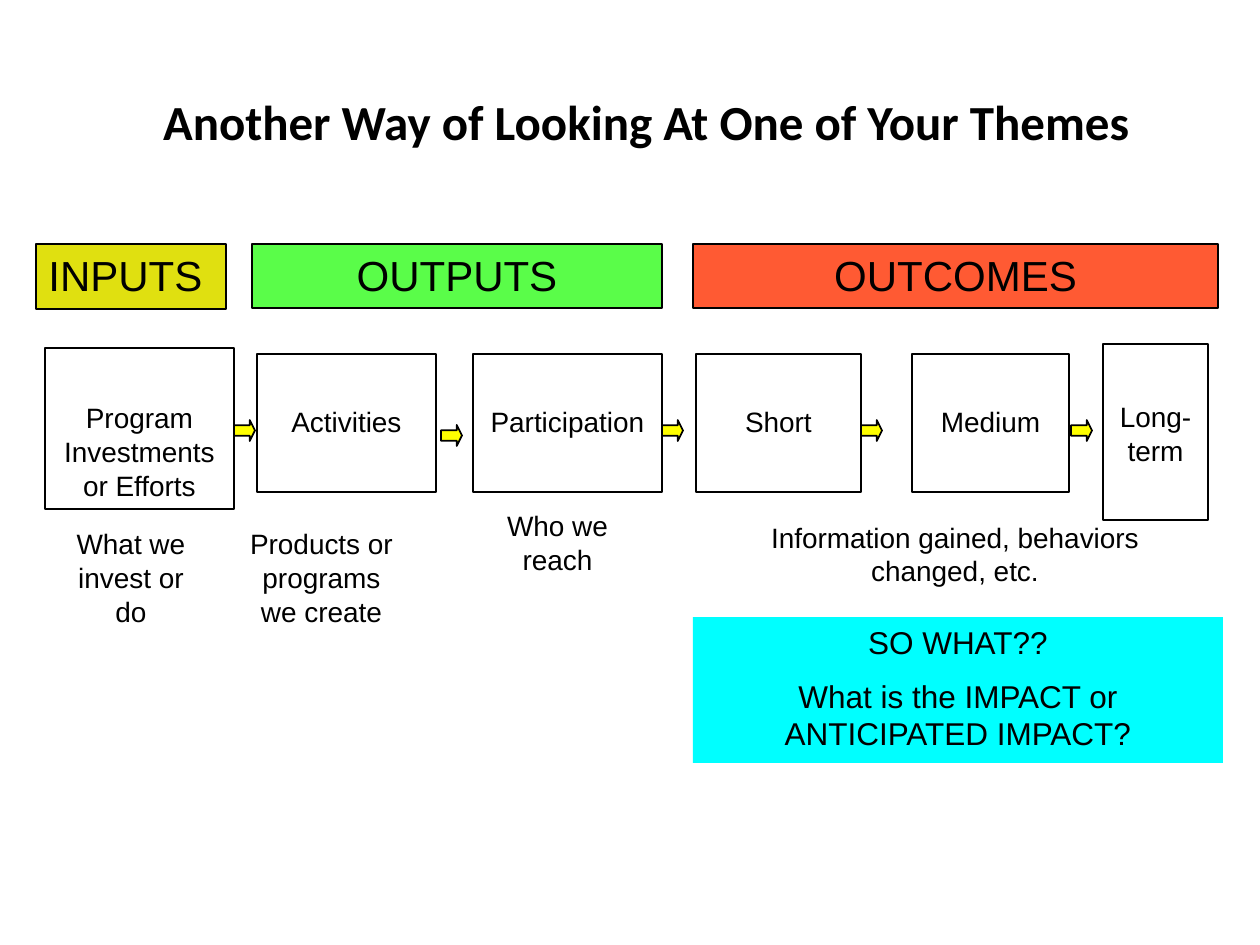
import pptx
import pptx.dml.color
import pptx.enum.shapes
import pptx.enum.text
import pptx.util

RGBColor = pptx.dml.color.RGBColor
BLACK = RGBColor(0x00, 0x00, 0x00)
OLIVE = RGBColor(0xE0, 0xE0, 0x10)
GREEN = RGBColor(0x5A, 0xFD, 0x49)
ORANGE = RGBColor(0xFF, 0x5A, 0x33)
YELLOW = RGBColor(0xFF, 0xFF, 0x00)
CYAN = RGBColor(0x00, 0xFF, 0xFF)

SHAPE = pptx.enum.shapes.MSO_SHAPE
ALIGN = pptx.enum.text.PP_ALIGN
ANCHOR = pptx.enum.text.MSO_ANCHOR

PX_PER_INCH = 126
TITLE = "Another Way of Looking At One of Your Themes"

# left, width, height, text, fill, alignment
HEADERS = [
    (36, 190, 65, "INPUTS", OLIVE, ALIGN.LEFT),
    (252, 410, 64, "OUTPUTS", GREEN, ALIGN.CENTER),
    (693, 525, 64, "OUTCOMES", ORANGE, ALIGN.CENTER),
]
# left, top, width, height, inset above the text, text
STAGES = [
    (45, 348, 189, 161, 53, "Program Investments or Efforts"),
    (257, 354, 179, 138, 51, "Activities"),
    (473, 354, 189, 138, 51, "Participation"),
    (696, 354, 165, 138, 51, "Short"),
    (912, 354, 157, 138, 51, "Medium"),
    (1103, 344, 105, 176, 56, "Long-term"),
]
# left, top
ARROWS = [(234, 420), (441, 425), (662, 420), (861, 420), (1071, 420)]
# left, top, width, height, text
CAPTIONS = [
    (63, 521, 136, 115, "What we invest or do"),
    (234, 521, 175, 115, "Products or programs we create"),
    (473, 503, 169, 81, "Who we reach"),
    (703, 514, 504, 81, "Information gained, behaviors changed, etc."),
]


def px(length):
    return pptx.util.Emu(round(length * 914400 / PX_PER_INCH))


def write(frame, text, size=16, font="Arial", bold=False, align=ALIGN.CENTER,
          anchor=ANCHOR.TOP, inset_top=6):
    """Fill a text frame, one paragraph for each line of the text."""
    frame.word_wrap = True
    frame.vertical_anchor = anchor
    frame.margin_top = px(inset_top)
    frame.text = text
    for index, paragraph in enumerate(frame.paragraphs):
        paragraph.alignment = align
        if index:
            paragraph.space_before = pptx.util.Pt(size / 2)
        paragraph.font.size = pptx.util.Pt(size)
        paragraph.font.name = font
        paragraph.font.bold = bold
        paragraph.font.color.rgb = BLACK


class LogicModelSlide:
    def __init__(self, presentation):
        self.slide = presentation.slides.add_slide(presentation.slide_layouts[5])
        self.outline = BLACK
        self.outline_width = pptx.util.Pt(1)

    def title(self, left, top, width, height, text):
        title = self.slide.shapes.title
        title.left, title.top = px(left), px(top)
        title.width, title.height = px(width), px(height)
        write(title.text_frame, text, size=28, font="Calibri", bold=True,
              anchor=ANCHOR.MIDDLE)

    def shape(self, kind, left, top, width, height, fill=None, outlined=True):
        shape = self.slide.shapes.add_shape(
            kind, px(left), px(top), px(width), px(height))
        shape.shadow.inherit = False
        if fill is None:
            shape.fill.background()
        else:
            shape.fill.solid()
            shape.fill.fore_color.rgb = fill
        if outlined:
            shape.line.color.rgb = self.outline
            shape.line.width = self.outline_width
        else:
            shape.line.fill.background()
        return shape

    def box(self, left, top, width, height, text, fill=None, outlined=True,
            **text_format):
        box = self.shape(SHAPE.RECTANGLE, left, top, width, height, fill, outlined)
        write(box.text_frame, text, **text_format)

    def arrow(self, left, top):
        arrow = self.shape(SHAPE.RIGHT_ARROW, left, top, 21, 21, YELLOW)
        arrow.adjustments[0] = 0.5
        arrow.adjustments[1] = 0.25

    def caption(self, left, top, width, height, text):
        caption = self.slide.shapes.add_textbox(
            px(left), px(top), px(width), px(height))
        write(caption.text_frame, text)


def main():
    presentation = pptx.Presentation()
    presentation.slide_width = px(1260)
    presentation.slide_height = px(945)

    model = LogicModelSlide(presentation)
    model.title(32, 53, 1228, 136, TITLE)
    for left, width, height, text, fill, align in HEADERS:
        model.box(left, 244, width, height, text, fill, size=24, align=align)
    for left, top, width, height, inset, text in STAGES:
        model.box(left, top, width, height, text, inset_top=inset)
    for left, top in ARROWS:
        model.arrow(left, top)
    for caption in CAPTIONS:
        model.caption(*caption)
    model.box(693, 617, 530, 146,
              "SO WHAT??\nWhat is the IMPACT or ANTICIPATED IMPACT?",
              CYAN, outlined=False, size=18)

    presentation.save("out.pptx")


if __name__ == "__main__":
    main()
